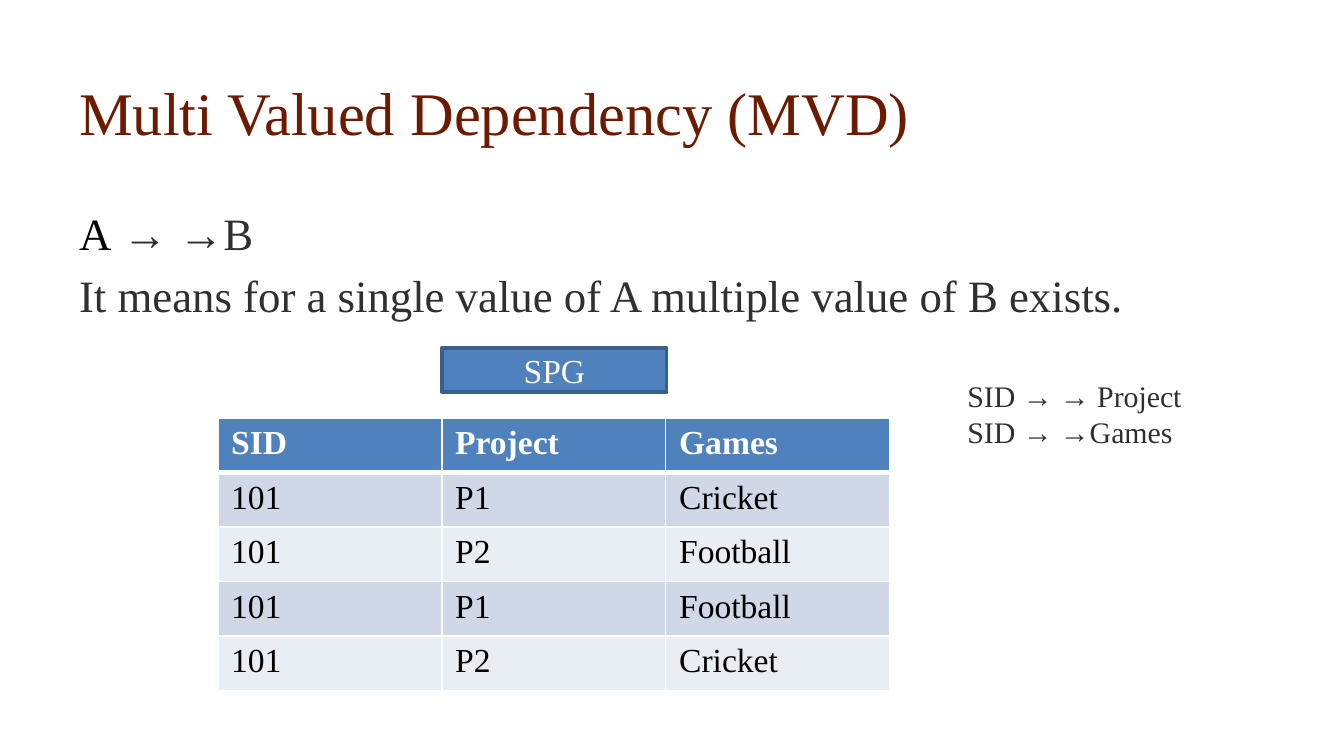
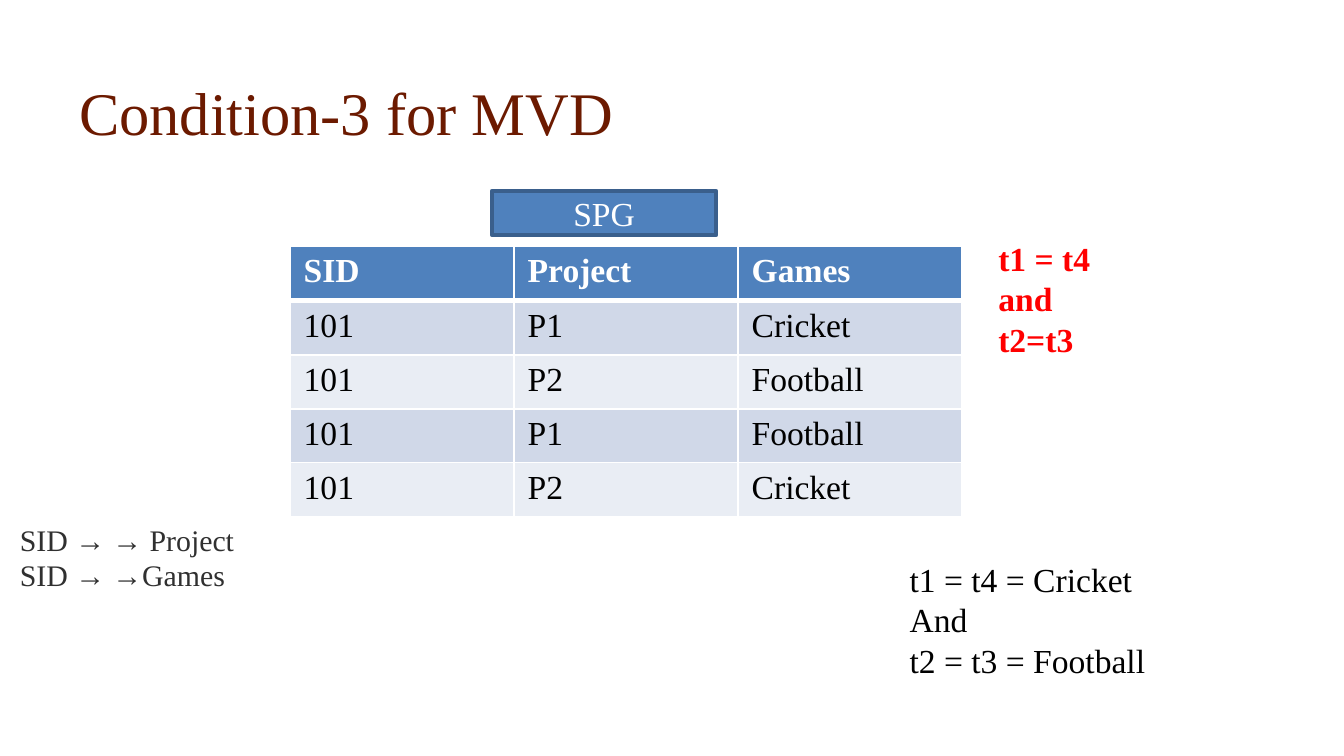
from dataclasses import dataclass

from lxml import etree
from pptx import Presentation
from pptx.dml.color import RGBColor
from pptx.enum import shapes, text
from pptx.oxml import ns
from pptx.util import Inches, Pt


@dataclass(frozen=True)
class Theme:
    font: str = "Times New Roman"
    title: str = "6C1A00"
    body: str = "303030"
    black: str = "000000"
    white: str = "FFFFFF"
    red: str = "FF0000"
    blue: str = "4F81BD"
    edge: str = "3A5F8C"
    bands: tuple = ("D0D8E8", "E9EDF4")
    head_size: float = 32.4
    lead_size: float = 24
    base_size: float = 18
    rule_size: float = 16


T = Theme()
WIDE = 10
HIGH = WIDE * 9 / 16
LABEL = "SPG"
ROWS = [
    ("SID", "Project", "Games"),
    ("101", "P1", "Cricket"),
    ("101", "P2", "Football"),
    ("101", "P1", "Football"),
    ("101", "P2", "Cricket"),
]
ROW = 2.03 / len(ROWS)
RULES = ["SID → → Project", "SID → →Games"]
LEAD = [
    [("A", T.black), (" → →B", T.body)],
    [("It means for a single value of A multiple value of B exists.", T.body)],
]
SLIDES = [
    {
        "title": "Multi Valued Dependency (MVD)",
        "lead": LEAD,
        "table": (1.62, 3.11, 5, 2.03),
        "rows": [ROW] * 5,
        "label": (3.29, 2.59),
        "rules": (7.1, 2.76),
        "notes": [],
    },
    {
        "title": "Condition-3 for MVD",
        "lead": [],
        "table": (2.16, 1.83, 5, 2.02),
        "rows": [ROW, ROW, 0, 0, ROW],
        "label": (3.66, 1.42),
        "rules": (0.05, 3.83),
        "notes": [
            (["t1 = t4", "and", "t2=t3"], (7.33, 1.72, 2, 1.01), T.red, True),
            (["t1 = t4 = Cricket", "And", "t2 = t3 = Football"],
             (6.67, 4.11, 2.17, 1.01), T.black, False),
        ],
    },
]


def style(run, size, color, bold=False):
    run.font.name = T.font
    run.font.size = Pt(size)
    run.font.bold = bold
    run.font.color.rgb = RGBColor.from_string(color)


def paint(fill, color):
    fill.solid()
    fill.fore_color.rgb = RGBColor.from_string(color)


def add_box(slide, box):
    frame = slide.shapes.add_textbox(*map(Inches, box)).text_frame
    frame.word_wrap = True
    return frame


def add_title(slide, words):
    frame = add_box(slide, (0.49, 0.14, 9.02, 0.84))
    frame.margin_top = Inches(0.42)
    frame.text = words
    para = frame.paragraphs[0]
    para.alignment = text.PP_ALIGN.JUSTIFY
    style(para.runs[0], T.head_size, T.title)


def add_lead(slide, lines):
    frame = add_box(slide, (0.49, 1.48, 9.02, 3.84))
    for index, parts in enumerate(lines):
        para = frame.add_paragraph() if index else frame.paragraphs[0]
        para.alignment = text.PP_ALIGN.JUSTIFY
        if index:
            para.space_before = Pt(4.8)
        for words, color in parts:
            run = para.add_run()
            run.text = words
            style(run, T.lead_size, color)


def add_note(slide, lines, box, size, color, bold=False):
    frame = add_box(slide, box)
    frame.auto_size = text.MSO_AUTO_SIZE.SHAPE_TO_FIT_TEXT
    frame.text = "\n".join(lines)
    for para in frame.paragraphs:
        style(para.runs[0], size, color, bold)


def add_edges(cell, row):
    props = cell._tc.get_or_add_tcPr()
    widths = {"L": 1, "R": 1, "T": 3 if row == 1 else 1, "B": 1 if row else 3}
    for side, width in widths.items():
        line = etree.SubElement(props, ns.qn("a:ln" + side), w=str(Pt(width)))
        fill = etree.SubElement(line, ns.qn("a:solidFill"))
        etree.SubElement(fill, ns.qn("a:srgbClr"), val=T.white)


def add_grid(slide, box, heights):
    table = slide.shapes.add_table(
        len(ROWS), len(ROWS[0]), *map(Inches, box)).table
    for row, height in zip(table.rows, heights):
        row.height = Inches(height)
    for r, words in enumerate(ROWS):
        head = r == 0
        for c, word in enumerate(words):
            cell = table.cell(r, c)
            cell.text = word
            style(cell.text_frame.paragraphs[0].runs[0], T.base_size,
                  T.white if head else T.black, head)
            add_edges(cell, r)
            paint(cell.fill, T.blue if head else T.bands[(r - 1) % 2])


def add_label(slide, place):
    box = slide.shapes.add_shape(
        shapes.MSO_SHAPE.RECTANGLE, *map(Inches, place + (1.67, 0.33)))
    box.shadow.inherit = False
    paint(box.fill, T.blue)
    paint(box.line.fill, T.edge)
    box.line.width = Pt(2)
    frame = box.text_frame
    frame.text = LABEL
    frame.vertical_anchor = text.MSO_ANCHOR.MIDDLE
    para = frame.paragraphs[0]
    para.alignment = text.PP_ALIGN.CENTER
    style(para.runs[0], T.base_size, T.white)


def main():
    deck = Presentation()
    deck.slide_width, deck.slide_height = Inches(WIDE), Inches(HIGH)
    for data in SLIDES:
        slide = deck.slides.add_slide(deck.slide_layouts[6])
        add_title(slide, data["title"])
        if data["lead"]:
            add_lead(slide, data["lead"])
        add_grid(slide, data["table"], data["rows"])
        add_label(slide, data["label"])
        add_note(slide, RULES, data["rules"] + (1.94, 0.64), T.rule_size, T.body)
        for lines, box, color, bold in data["notes"]:
            add_note(slide, lines, box, T.base_size, color, bold)
    deck.save("out.pptx")


if __name__ == "__main__":
    main()
